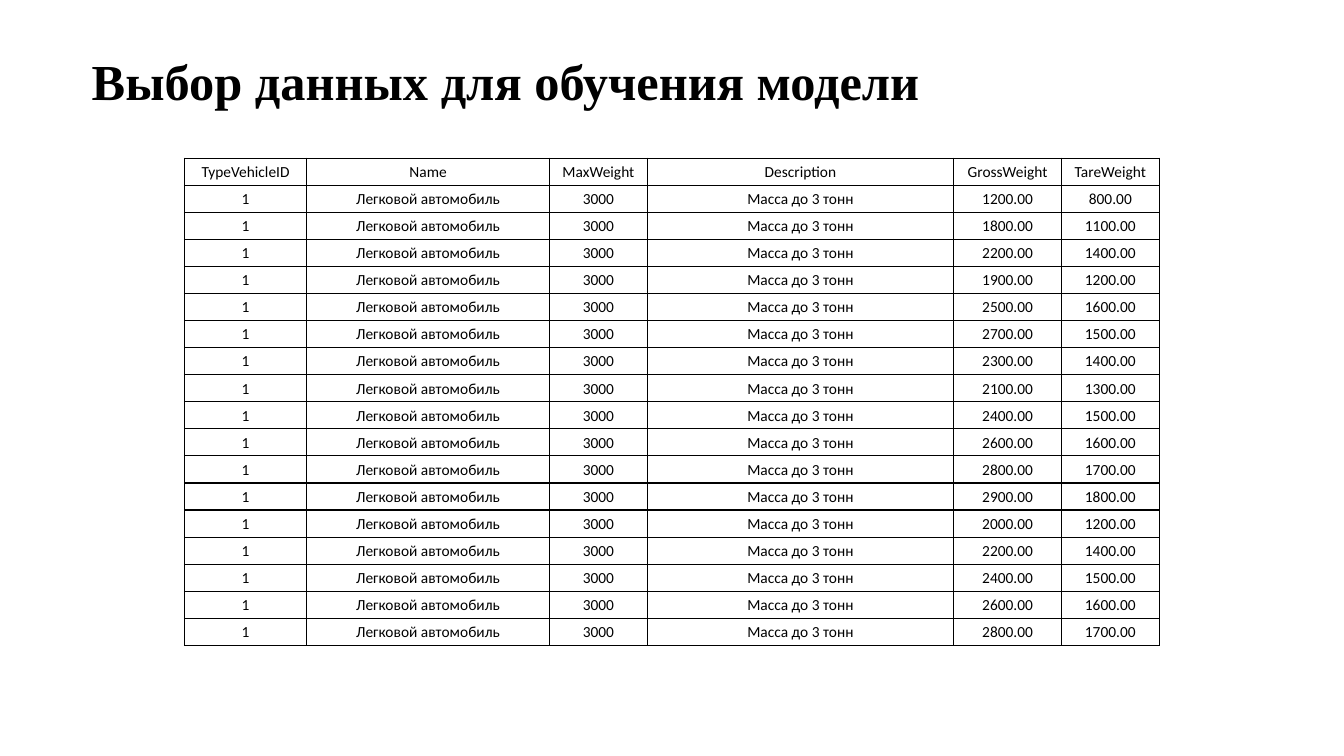
from lxml.etree import SubElement
from pptx import Presentation
from pptx.dml.color import RGBColor
from pptx.enum.text import MSO_ANCHOR as Anchor, MSO_AUTO_SIZE as AutoSize, PP_ALIGN as Align
from pptx.oxml.ns import qn
from pptx.util import Pt

BLACK = RGBColor(0x00, 0x00, 0x00)
WHITE = RGBColor(0xFF, 0xFF, 0xFF)

HEADERS = ["TypeVehicleID", "Name", "MaxWeight", "Description", "GrossWeight", "TareWeight"]
COLUMN_WIDTHS = [87.3, 173.5, 69.8, 218.9, 77, 69.8]
ROW_HEIGHT = 19.36
WEIGHTS = [
    (1200, 800), (1800, 1100), (2200, 1400), (1900, 1200), (2500, 1600), (2700, 1500),
    (2300, 1400), (2100, 1300), (2400, 1500), (2600, 1600), (2800, 1700), (2900, 1800),
    (2000, 1200), (2200, 1400), (2400, 1500), (2600, 1600), (2800, 1700),
]


def add_run(paragraph, text, font_name, size, bold=False):
    run = paragraph.add_run()
    run.text = text
    run.font.name = font_name
    run.font.size = Pt(size)
    run.font.bold = bold
    run.font.color.rgb = BLACK


def add_borders(cell):
    properties = cell._tc.get_or_add_tcPr()
    for side in ("lnL", "lnR", "lnT", "lnB"):
        line = SubElement(properties, qn(f"a:{side}"), w=str(Pt(1)))
        fill = SubElement(line, qn("a:solidFill"))
        SubElement(fill, qn("a:srgbClr"), val=str(BLACK))


presentation = Presentation()
presentation.slide_width = Pt(960)
presentation.slide_height = Pt(540)
slide = presentation.slides.add_slide(presentation.slide_layouts[5])

# Title
title = slide.shapes.title
title.left, title.top, title.width, title.height = Pt(58.3), Pt(31.7), Pt(703.4), Pt(51)
title_frame = title.text_frame
title_frame.word_wrap = True
title_frame.auto_size = AutoSize.SHAPE_TO_FIT_TEXT
title_frame.vertical_anchor = Anchor.MIDDLE
title_paragraph = title_frame.paragraphs[0]
title_paragraph.alignment = Align.LEFT
add_run(title_paragraph, "Выбор данных для обучения модели", "Times New Roman", 36, bold=True)

# Vehicle table
rows = [HEADERS]
for gross, tare in WEIGHTS:
    rows.append(["1", "Легковой автомобиль", "3000", "Масса до 3 тонн",
                 f"{gross:.2f}", f"{tare:.2f}"])

table = slide.shapes.add_table(
    len(rows), len(HEADERS), Pt(131.8), Pt(113),
    Pt(sum(COLUMN_WIDTHS)), Pt(ROW_HEIGHT * len(rows))).table
table.first_row = False
table.horz_banding = False
for column, width in zip(table.columns, COLUMN_WIDTHS):
    column.width = Pt(width)

for row_index, values in enumerate(rows):
    table.rows[row_index].height = Pt(ROW_HEIGHT)
    for column_index, text in enumerate(values):
        cell = table.cell(row_index, column_index)
        add_borders(cell)
        cell.fill.solid()
        cell.fill.fore_color.rgb = WHITE
        cell.vertical_anchor = Anchor.MIDDLE
        cell.margin_left = cell.margin_right = cell.margin_top = Pt(0.7)
        cell.margin_bottom = Pt(0)
        paragraph = cell.text_frame.paragraphs[0]
        paragraph.alignment = Align.CENTER
        add_run(paragraph, text, "Calibri", 11)

presentation.save("out.pptx")
